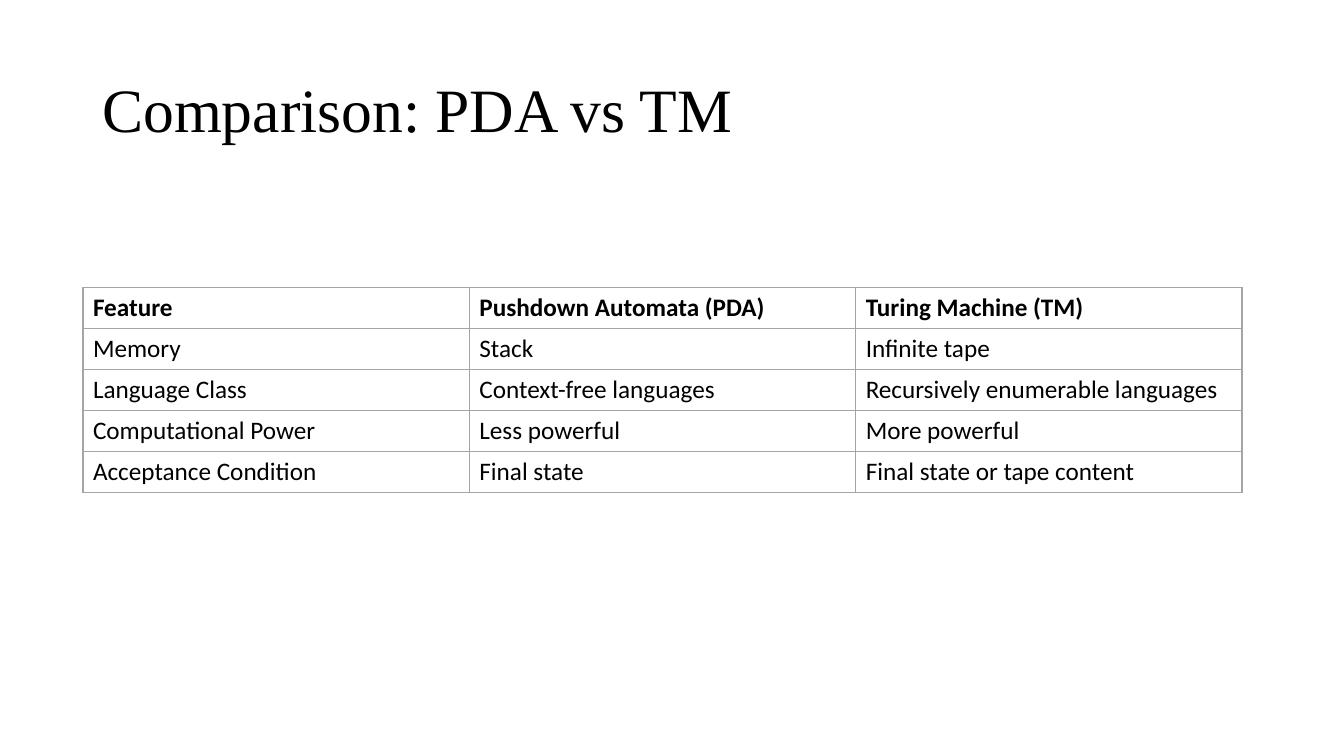
import lxml.etree
import pptx
import pptx.dml.color
import pptx.enum.text
import pptx.oxml.ns
import pptx.util

PX = 9525  # EMU per px, 96 px to the inch
BLACK = pptx.dml.color.RGBColor(0x00, 0x00, 0x00)
GREY = pptx.dml.color.RGBColor(0xA5, 0xA5, 0xA5)
MIDDLE = pptx.enum.text.MSO_ANCHOR.MIDDLE

ROWS = [
    ("Feature", "Pushdown Automata (PDA)", "Turing Machine (TM)"),
    ("Memory", "Stack", "Infinite tape"),
    ("Language Class", "Context-free languages", "Recursively enumerable languages"),
    ("Computational Power", "Less powerful", "More powerful"),
    ("Acceptance Condition", "Final state", "Final state or tape content"),
]


def write_text(tf, text, size, font="Calibri", bold=False, color=BLACK, spacing=None):
    p = tf.paragraphs[0]
    p.line_spacing = spacing
    r = p.add_run()
    r.text = text
    r.font.name = font
    r.font.size = pptx.util.Pt(size)
    r.font.bold = bold
    r.font.color.rgb = color


def set_borders(cell, color, width):
    tcPr = cell._tc.get_or_add_tcPr()
    qn = pptx.oxml.ns.qn
    # Border lines come before the fill in the cell properties
    for i, side in enumerate(("a:lnL", "a:lnR", "a:lnT", "a:lnB")):
        ln = lxml.etree.Element(qn(side), w=str(pptx.util.Pt(width)))
        fill = lxml.etree.SubElement(ln, qn("a:solidFill"))
        lxml.etree.SubElement(fill, qn("a:srgbClr"), val=str(color))
        tcPr.insert(i, ln)


def add_title(slide, text, x, y, w, h):
    sp = slide.shapes.add_textbox(x * PX, y * PX, w * PX, h * PX)
    tf = sp.text_frame
    tf.word_wrap = True
    tf.vertical_anchor = MIDDLE
    write_text(tf, text, 44, font="Times New Roman", spacing=0.9)


def add_comparison(slide, rows, x, y, w, h):
    frame = slide.shapes.add_table(len(rows), len(rows[0]), x * PX, y * PX, w * PX, h * PX)
    table = frame.table
    table.first_row = False
    table.horz_banding = False
    for i, row in enumerate(rows):
        for j, text in enumerate(row):
            cell = table.cell(i, j)
            cell.vertical_anchor = MIDDLE
            cell.fill.background()
            set_borders(cell, GREY, 1)
            write_text(cell.text_frame, text, 18, bold=i == 0)


def main():
    prs = pptx.Presentation()
    prs.slide_width = 1280 * PX
    prs.slide_height = 720 * PX
    slide = prs.slides.add_slide(prs.slide_layouts[6])

    # Heading
    add_title(slide, "Comparison: PDA vs TM", 88, 38, 1104, 139)
    # Feature table
    add_comparison(slide, ROWS, 79, 274, 1104, 195)

    prs.save("out.pptx")


if __name__ == "__main__":
    main()
